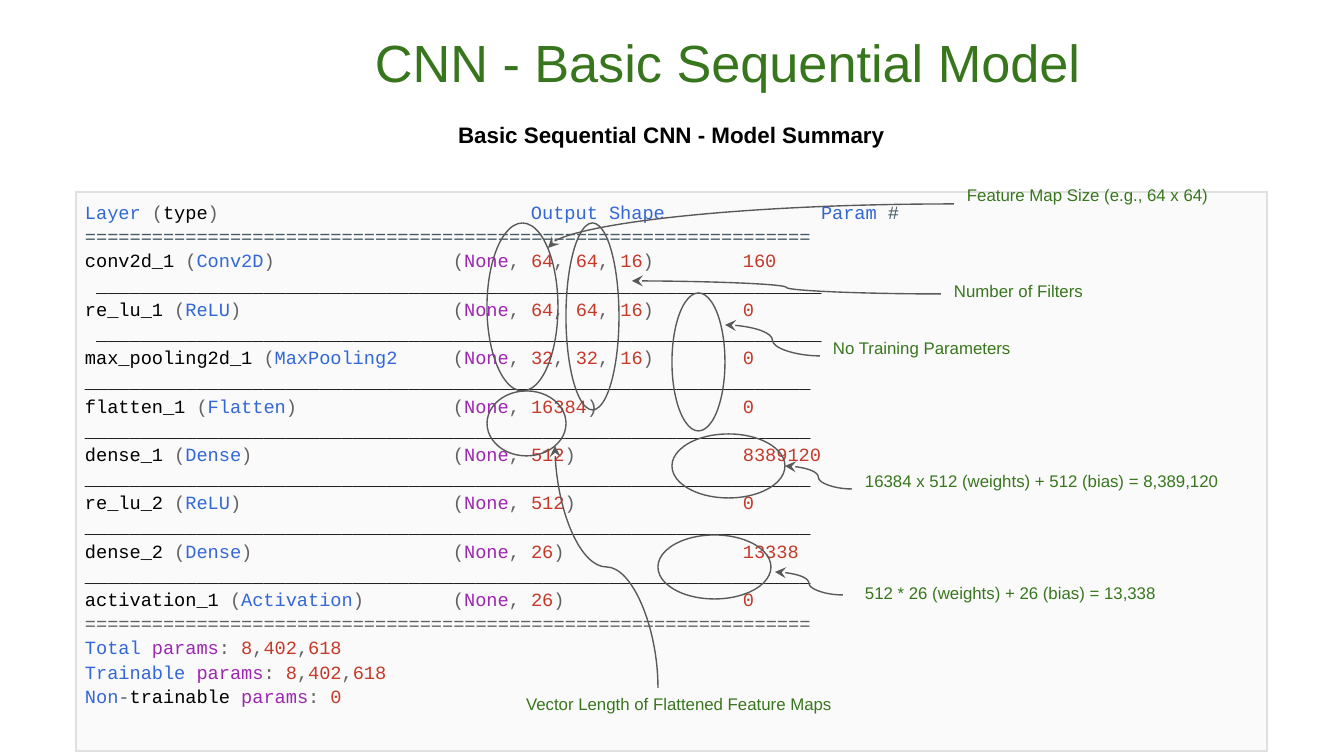
from lxml import etree
from pptx import Presentation
from pptx import util as u
from pptx.dml import color
from pptx.enum import shapes, text
from pptx.oxml import ns

GREEN, LINE, BLACK = "38761D", "595959", "000000"
BLUE, GRAY, PURPLE, RED, SLATE = "3367D6", "616161", "9C27B0", "C53929", "455A64"
HEADER_TABS, LAYER_TABS = (446, 736), (368, 658)
RULE_LENGTH = 65


def px(length):
    return u.Emu(round(length * 914400 / 134.4))


def rgb(code):
    return color.RGBColor.from_string(code)


def sub(parent, tag, **attributes):
    return etree.SubElement(parent, ns.qn(tag), attributes)


def add_label(slide, box, words, size=9, code=GREEN, bold=False, centred=False):
    frame = slide.shapes.add_textbox(*map(px, box)).text_frame
    frame.word_wrap = True
    frame.margin_left = frame.margin_right = px(13)
    frame.margin_top = frame.margin_bottom = px(13)
    label = frame.paragraphs[0]
    label.text = words
    label.font.name, label.font.size = "Arial", u.Pt(size)
    label.font.bold = bold
    label.font.color.rgb = rgb(code)
    if centred:
        label.alignment = text.PP_ALIGN.CENTER
    return label


# Model summary: each line is a list of (words, colour) pieces
def layer_line(name, kind, close, dims, params):
    pieces = [(name + " ", BLACK), ("(", GRAY), (kind, BLUE), (close + "\t(", GRAY), ("None", PURPLE)]
    for dim in dims:
        pieces += [(", ", GRAY), (str(dim), RED)]
    return pieces + [(")\t", GRAY), (str(params), RED)]


def number_pieces(number):
    return [(part, GRAY if part == "," else RED) for part in number.replace(",", " , ").split()]


def summary_lines():
    layers = [
        ("conv2d_1", "Conv2D", ")", (64, 64, 16), 160),
        ("re_lu_1", "ReLU", ")", (64, 64, 16), 0),
        ("max_pooling2d_1", "MaxPooling2", "", (32, 32, 16), 0),
        ("flatten_1", "Flatten", ")", (16384,), 0),
        ("dense_1", "Dense", ")", (512,), 8389120),
        ("re_lu_2", "ReLU", ")", (512,), 0),
        ("dense_2", "Dense", ")", (26,), 13338),
        ("activation_1", "Activation", ")", (26,), 0),
    ]
    totals = [
        ([("Total ", BLUE)], "8,402,618"),
        ([("Trainable ", BLUE)], "8,402,618"),
        ([("Non", BLUE), ("-", GRAY), ("trainable ", BLACK)], "0"),
    ]
    lines = [
        [("Layer ", BLUE), ("(", GRAY), ("type", BLACK), (")\t", GRAY),
         ("Output Shape\tParam ", BLUE), ("#", SLATE)],
        [("=" * RULE_LENGTH, SLATE)],
    ]
    for index, layer in enumerate(layers):
        lead = " " if index < 2 else ""
        rule = (lead + "_" * RULE_LENGTH, BLACK)
        if index == len(layers) - 1:
            rule = ("=" * RULE_LENGTH, GRAY)
        lines += [layer_line(*layer), [rule]]
    for caption, number in totals:
        lines.append(caption + [("params", PURPLE), (": ", GRAY)] + number_pieces(number))
    return lines


def add_borders(cell, code):
    properties = cell._tc.get_or_add_tcPr()
    for index, side in enumerate(("a:lnL", "a:lnR", "a:lnT", "a:lnB")):
        border = sub(properties, side, w=str(u.Pt(1)))
        sub(sub(border, "a:solidFill"), "a:srgbClr", val=code)
        properties.insert(index, border)


def add_summary(slide, box):
    table = slide.shapes.add_table(1, 1, *map(px, box)).table
    table.first_row = table.horz_banding = False
    cell = table.cell(0, 0)
    cell.margin_left = cell.margin_right = cell.margin_top = cell.margin_bottom = px(9)
    cell.fill.solid()
    cell.fill.fore_color.rgb = rgb("FAFAFA")
    add_borders(cell, "E0E0E0")
    for index, pieces in enumerate(summary_lines()):
        frame = cell.text_frame
        line = frame.add_paragraph() if index else frame.paragraphs[0]
        line.line_spacing = 1.15
        tabs = sub(line._p.get_or_add_pPr(), "a:tabLst")
        for stop in LAYER_TABS if index else HEADER_TABS:
            sub(tabs, "a:tab", pos=str(px(stop)), algn="l")
        line.font.name, line.font.size = "Courier New", u.Pt(10)
        for words, code in pieces:
            run = line.add_run()
            run.text = words
            run.font.color.rgb = rgb(code)


# Annotations
def add_ring(slide, box):
    ring = slide.shapes.add_shape(shapes.MSO_SHAPE.OVAL, *map(px, box))
    ring.shadow.inherit = False
    ring.fill.background()
    ring.line.color.rgb = rgb(LINE)
    ring.line.width = u.Pt(0.75)


def add_arrow(slide, begin, end, preset="curvedConnector3", upright=False):
    (x1, y1), (x2, y2) = begin, end
    if upright:  # drawn lying down about its centre, then turned a quarter
        mid_x, mid_y = (x1 + x2) / 2, (y1 + y2) / 2
        half_w, half_h = (y1 - y2) / 2, (x1 - x2) / 2
        x1, x2, y1, y2 = mid_x + half_w, mid_x - half_w, mid_y - half_h, mid_y + half_h
    arrow = slide.shapes.add_connector(shapes.MSO_CONNECTOR.CURVE, *map(px, (x1, y1, x2, y2)))
    arrow.line.color.rgb = rgb(LINE)
    arrow.line.width = u.Pt(0.75)
    properties = arrow._element.spPr
    properties.find(ns.qn("a:prstGeom")).set("prst", preset)
    if upright:
        properties.find(ns.qn("a:xfrm")).set("rot", "5400000")
    sub(properties.find(ns.qn("a:ln")), "a:tailEnd", type="stealth")
    sub(properties, "a:effectLst")


def add_annotations(slide, box):
    left, top = box[:2]

    def at(x, y, *size):
        return (left + x, top + y, *size)

    for ring in [(490, 31, 53, 187), (596, 101, 53, 138), (411, 199, 79, 65),
                 (596, 242, 113, 64), (411, 31, 71, 168), (582, 343, 113, 64)]:
        add_ring(slide, at(*ring))

    for words, place in [
        ("Feature Map Size (e.g., 64 x 64)", (878, -17, 294, 55)),
        ("Number of Filters", (865, 79, 294, 55)),
        ("No Training Parameters", (744, 136, 294, 55)),
        ("Vector Length of Flattened Feature Maps", (437, 492, 355, 55)),
        ("16384 x 512 (weights) + 512 (bias) = 8,389,120", (776, 269, 396, 55)),
        ("512 * 26 (weights) + 26 (bias) = 13,338", (776, 381, 367, 55)),
    ]:
        add_label(slide, at(*place), words)

    for begin, end in [((865, 102), (556, 89)), ((744, 164), (649, 133)),
                       ((776, 297), (709, 274)), ((767, 403), (699, 380))]:
        add_arrow(slide, at(*begin), at(*end))
    add_arrow(slide, at(878, 12), at(472, 56), preset="curvedConnector2")
    add_arrow(slide, at(582, 496), at(479, 254), upright=True)


def main():
    deck = Presentation()
    deck.slide_width, deck.slide_height = px(1344), px(756)
    slide = deck.slides.add_slide(deck.slide_layouts[6])
    add_label(slide, (101, 17, 1253, 117), "CNN - Basic Sequential Model", 28, centred=True)
    subtitle = add_label(slide, (52, 108, 1239, 633), "Basic Sequential CNN - Model Summary",
                         12, BLACK, bold=True, centred=True)
    subtitle.space_before = u.Pt(11)
    summary_box = (76, 192, 1191, 527)
    add_summary(slide, summary_box)
    add_annotations(slide, summary_box)
    deck.save("out.pptx")


if __name__ == "__main__":
    main()
